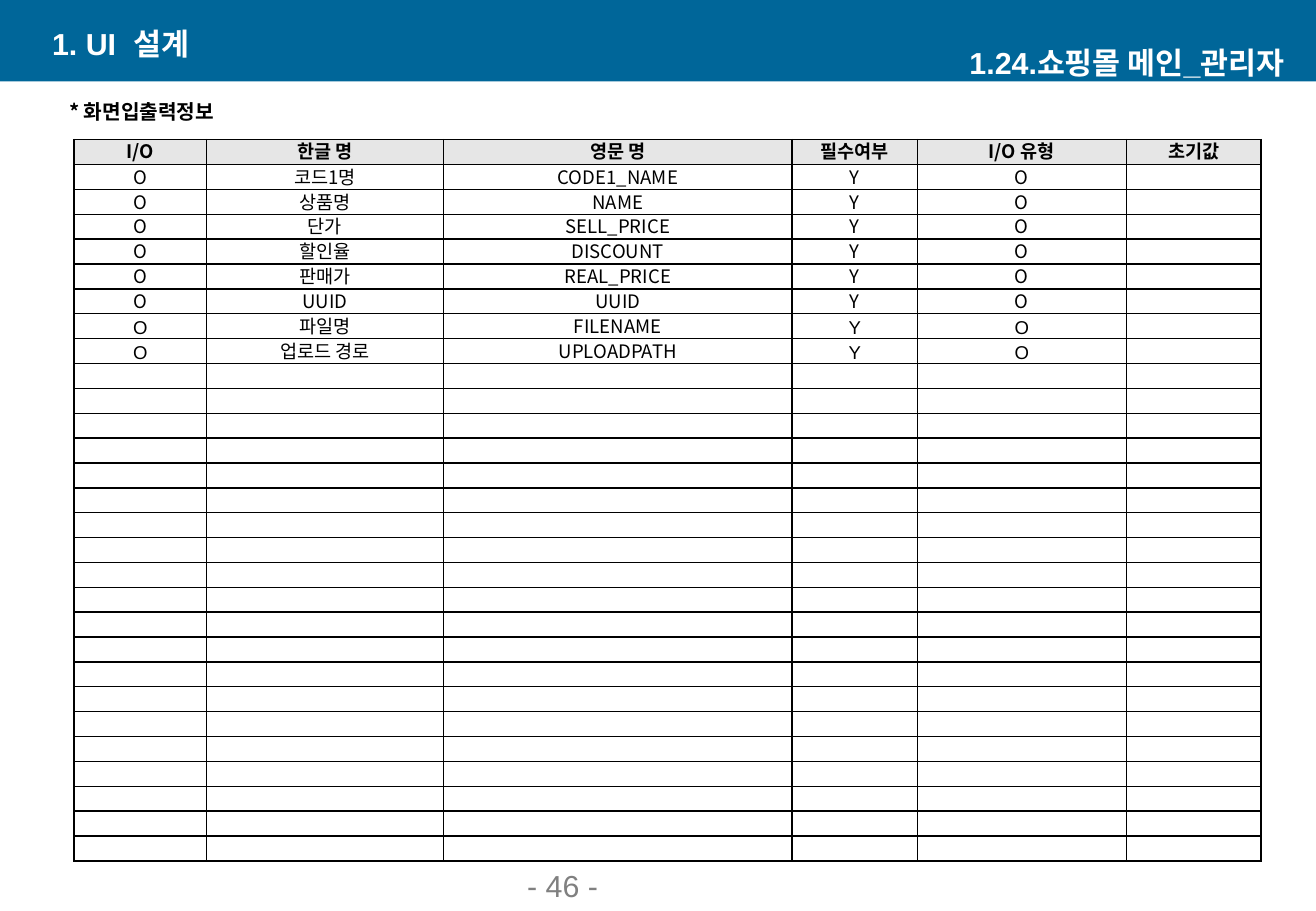
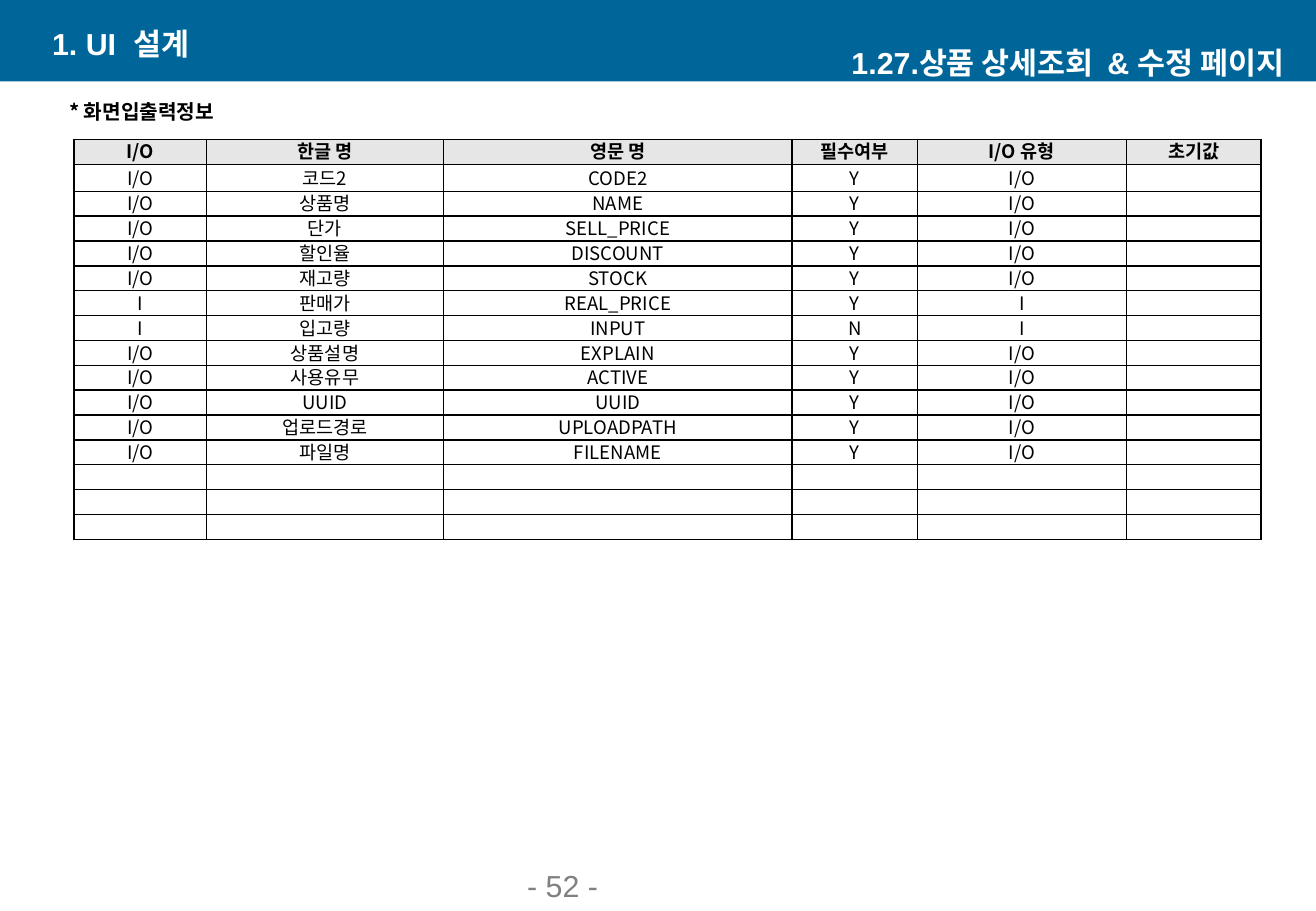
from lxml import etree
from pptx import Presentation
from pptx.dml.color import RGBColor
from pptx.enum.shapes import MSO_SHAPE
from pptx.enum.text import MSO_ANCHOR, MSO_AUTO_SIZE, PP_ALIGN
from pptx.oxml.ns import qn
from pptx.util import Inches, Pt

RECT = MSO_SHAPE.RECTANGLE
MID, LOW = MSO_ANCHOR.MIDDLE, MSO_ANCHOR.BOTTOM
LEFT, MIDST, RIGHT = PP_ALIGN.LEFT, PP_ALIGN.CENTER, PP_ALIGN.RIGHT
FIXED = MSO_AUTO_SIZE.NONE

COLORS = {"band": "006699", "white": "FFFFFF", "black": "000000",
          "gray": "808080", "head": "E6E6E6"}
SANS, KOREAN = "Arial", "Noto Sans CJK KR"
WIDE, TALL = 10.83, 7.5

# Text styles
STYLES = {
    "title": {"size": Pt(18), "name": SANS, "bold": True, "color": "white"},
    "page": {"size": Pt(18), "name": SANS, "bold": False, "color": "gray"},
    "note": {"size": Pt(12), "name": KOREAN, "bold": True, "color": "black"},
    "head": {"size": Pt(11), "name": KOREAN, "bold": True, "color": "black"},
    "cell": {"size": Pt(11), "name": KOREAN, "bold": False, "color": "black"},
    "plain": {"size": Pt(11), "name": SANS, "bold": False, "color": "black"},
}

# Table grid
COLS = [1.09, 1.95, 2.87, 1.03, 1.72, 1.11]
ROW = 5.94 / 29
HEADS = ["I/O", "한글 명", "영문 명", "필수여부", "I/O 유형", "초기값"]

# Rows: direction, Korean name, English name, required
MAIN = [
    ("O", "코드1명", "CODE1_NAME", "Y"),
    ("O", "상품명", "NAME", "Y"),
    ("O", "단가", "SELL_PRICE", "Y"),
    ("O", "할인율", "DISCOUNT", "Y"),
    ("O", "판매가", "REAL_PRICE", "Y"),
    ("O", "UUID", "UUID", "Y"),
    ("O", "파일명", "FILENAME", "Y"),
    ("O", "업로드 경로", "UPLOADPATH", "Y"),
]
DETAIL = [
    ("I/O", "코드2", "CODE2", "Y"),
    ("I/O", "상품명", "NAME", "Y"),
    ("I/O", "단가", "SELL_PRICE", "Y"),
    ("I/O", "할인율", "DISCOUNT", "Y"),
    ("I/O", "재고량", "STOCK", "Y"),
    ("I", "판매가", "REAL_PRICE", "Y"),
    ("I", "입고량", "INPUT", "N"),
    ("I/O", "상품설명", "EXPLAIN", "Y"),
    ("I/O", "사용유무", "ACTIVE", "Y"),
    ("I/O", "UUID", "UUID", "Y"),
    ("I/O", "업로드경로", "UPLOADPATH", "Y"),
    ("I/O", "파일명", "FILENAME", "Y"),
]
PAGES = [
    {"title": "1.24.쇼핑몰 메인_관리자", "page": "- 46 -", "data": MAIN,
     "count": 29, "first": ROW, "plain": (7, 8)},
    {"title": "1.27.상품 상세조회  & 수정 페이지", "page": "- 52 -",
     "data": DETAIL, "count": 16, "first": 0.22, "plain": ()},
]


def rgb(key):
    return RGBColor.from_string(COLORS[key])


def write(par, text, style, align):
    par.alignment = align
    run = par.add_run()
    run.text = text
    for key, value in STYLES[style].items():
        if key == "color":
            run.font.color.rgb = rgb(value)
        else:
            setattr(run.font, key, value)
    # Korean letters take the East Asian font
    face = etree.Element(qn("a:ea"), typeface=KOREAN)
    run.font._element.find(qn("a:latin")).addnext(face)


def label(shape, box, text, style, align=LEFT, anchor=MID, right=0.1):
    for key, value in zip(("left", "top", "width", "height"), box):
        setattr(shape, key, Inches(value))
    frame = shape.text_frame
    form = {"word_wrap": True, "auto_size": FIXED, "vertical_anchor": anchor,
            "margin_left": Inches(0.1), "margin_right": Inches(right),
            "margin_top": 0, "margin_bottom": 0}
    for key, value in form.items():
        setattr(frame, key, value)
    write(frame.paragraphs[0], text, style, align)


def add_text(slide, box, *args, **form):
    shape = slide.shapes.add_textbox(*map(Inches, box))
    label(shape, box, *args, **form)


def add_band(slide):
    """Draw the top band and hand it to the layout all slides share."""
    band = slide.shapes.add_shape(RECT, 0, 0, Inches(WIDE), Inches(0.67))
    band.shadow.inherit = False
    band.fill.solid()
    band.fill.fore_color.rgb = rgb("band")
    band.line.fill.background()
    slide.slide_layout.shapes.element.insert(2, band.element)


def edge(cell):
    props = cell._tc.get_or_add_tcPr()
    for spot, side in enumerate(("lnL", "lnR", "lnT", "lnB")):
        line = etree.Element(qn("a:" + side), w=str(Pt(1)))
        fill = etree.SubElement(line, qn("a:solidFill"))
        etree.SubElement(fill, qn("a:srgbClr"), val=COLORS["black"])
        props.insert(spot, line)


def fill_cell(cell, text, style):
    side = Inches(0.07 if style == "head" else 0.01)
    top = 0 if style == "head" else Inches(0.01)
    form = {"margin_left": side, "margin_right": side, "margin_top": top,
            "margin_bottom": 0, "vertical_anchor": MID}
    for key, value in form.items():
        setattr(cell, key, value)
    cell.fill.solid()
    cell.fill.fore_color.rgb = rgb("head" if style == "head" else "white")
    edge(cell)
    par = cell.text_frame.paragraphs[0]
    par.line_spacing = Pt(14)
    if text:
        write(par, text, style, MIDST)
    else:
        # An empty cell needs a small end mark to keep its row low
        etree.SubElement(par._p, qn("a:endParaRPr"), sz="800")


def add_grid(slide, data, count, first, plain):
    high = ROW * (count - 1) + first
    frame = slide.shapes.add_table(count, len(COLS), Inches(0.61),
                                   Inches(1.15), Inches(sum(COLS)),
                                   Inches(high))
    table = frame.table
    for col, width in zip(table.columns, COLS):
        col.width = Inches(width)
    rows = [HEADS] + [(*item, item[0], "") for item in data]
    rows += [[""] * len(COLS)] * (count - len(rows))
    for r, texts in enumerate(rows):
        table.rows[r].height = Inches(first if r == 1 else ROW)
        for c, text in enumerate(texts):
            style = "cell" if r else "head"
            if r in plain and c in (0, 3, 4):
                style = "plain"
            fill_cell(table.cell(r, c), text, style)


def add_page(slide, title, page, **grid):
    add_text(slide, (4.24, 7.13, 2.26, 0.31), page, "page", anchor=LOW)
    add_grid(slide, **grid)
    add_text(slide, (0.47, 0.77, 1.52, 0.29), "* 화면입출력정보", "note")
    add_text(slide, (0.33, 0.19, 4.38, 0.33), "1. UI  설계", "title")
    label(slide.shapes.title, (6.45, 0.35, 4.38, 0.33), title, "title",
          align=RIGHT, right=0.26)


def main():
    prs = Presentation()
    prs.slide_width, prs.slide_height = Inches(WIDE), Inches(TALL)
    layout = prs.slide_layouts[5]
    slides = [prs.slides.add_slide(layout) for _ in PAGES]
    add_band(slides[0])
    for slide, page in zip(slides, PAGES):
        add_page(slide, **page)
    prs.save("out.pptx")


if __name__ == "__main__":
    main()
